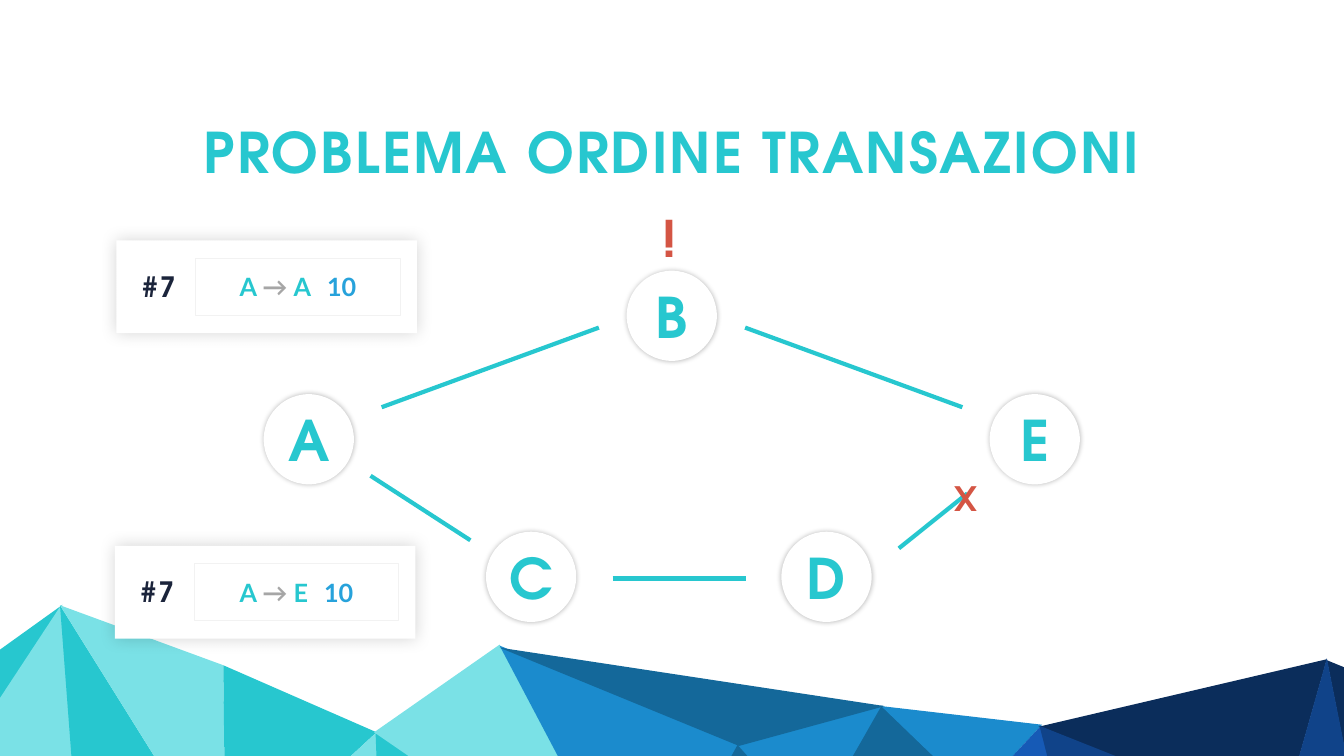
from lxml import etree
from pptx import Presentation
from pptx import util as u
from pptx.dml.color import RGBColor
from pptx.enum import shapes, text
from pptx.oxml.ns import qn

COLORS = {
    "white": "FFFFFF", "black": "000000", "frame": "F2F2F2", "arrow": "A6A6A6",
    "teal": "27C7CF", "aqua": "7AE1E6", "sky": "1B8BCD", "steel": "14689A",
    "cobalt": "165AB6", "royal": "104389", "navy": "0B2D5B",
    "ink": "1B243B", "amount": "27A2DB", "alert": "D45544",
}
HEADING, BODY = "TeX Gyre Adventor", "Lato"
NODE_SIZE = 1.79

FACETS = [
    ("teal", [(1.24, 12), (0, 12.89), (0, 13.88)]),
    ("aqua", [(1.57, 16.64), (1.21, 12.01), (-0.02, 13.88), (-0.02, 16.64)]),
    ("teal", [(4.08, 16.64), (1.19, 12.01), (1.54, 16.64)]),
    ("aqua", [(4.47, 16.64), (4.43, 13.2), (1.19, 12.01), (4.08, 16.64)]),
    ("teal", [(5.18, 16.64), (7.47, 14.53), (4.43, 13.2), (4.47, 16.64)]),
    ("aqua", [(7.55, 16.64), (7.47, 14.53), (5.18, 16.64)]),
    ("teal", [(10.52, 16.64), (7.45, 14.53), (7.53, 16.64)]),
    ("aqua", [(11.94, 16.64), (9.91, 12.79), (7.42, 14.53), (10.49, 16.64)]),
    ("sky", [(13.62, 16.66), (14.66, 14.76), (9.91, 12.81), (11.94, 16.66)]),
    ("sky", [(14.61, 14.79), (16.1, 16.47), (17.51, 14)]),
    ("steel", [(16.08, 16.47), (19.35, 15.8), (17.49, 14)]),
    ("sky", [(17.48, 14.01), (19.34, 15.8), (20.67, 14.38)]),
    ("cobalt", [(21.24, 16.71), (20.65, 14.4), (19.31, 15.83), (20.28, 16.71)]),
    ("navy", [(20.6, 14.42), (25.4, 16.33), (26.32, 13.08)]),
    ("royal", [(24.41, 16.71), (25.42, 16.31), (20.62, 14.4), (21.21, 16.71)]),
    ("navy", [(26.81, 13.3), (26.32, 13.1), (26.81, 15.57)]),
    ("royal", [(26.81, 16.71), (26.81, 15.52), (26.32, 13.06), (25.4, 16.31), (26, 16.71)]),
    ("steel", [(9.91, 12.85), (17.55, 14.01), (14.66, 14.8)]),
    ("steel", [(15.71, 16.68), (16.12, 16.46), (14.63, 14.78), (13.59, 16.68)]),
]
NODES = {"A": (5.23, 7.82), "B": (12.43, 5.37), "C": (9.64, 10.55),
         "D": (15.5, 10.55), "E": (19.63, 7.82)}
LINKS = [
    (7.57, 8.08, 11.88, 6.5),
    (7.35, 9.44, 9.33, 10.72),
    (14.78, 6.5, 19.09, 8.08),
    (12.15, 11.48, 14.79, 11.48),
    (17.83, 10.88, 19.19, 9.79),
]
TRANSACTIONS = [(2.31, 4.77, "A"), (2.28, 10.83, "E")]
MARKS = [("X", 48, (18.84, 9.43, 0.56, 0.91)), ("!", 72, (13.05, 4.06, 0.56, 1.31))]


def rgb(color):
    return RGBColor.from_string(COLORS[color])


def inches(values):
    return [u.Inches(value) for value in values]


class NetworkSlide:
    def __init__(self, prs):
        self.slide = prs.slides.add_slide(prs.slide_layouts[5])
        self.shapes = self.slide.shapes

    def add_words(self, paragraph, words, size, color, font=HEADING, spacing=0):
        run = paragraph.add_run()
        run.text = words
        look = {"name": font, "size": u.Pt(size), "bold": True}
        for name, value in look.items():
            setattr(run.font, name, value)
        run.font.color.rgb = rgb(color)
        if spacing:
            run._r.get_or_add_rPr().set("spc", str(spacing * 100))

    def glow(self, shape, blur, opacity):
        """Put a soft, centred shadow around the shape."""
        effects = shape._element.spPr.find(qn("a:effectLst"))
        shadow = etree.SubElement(effects, qn("a:outerShdw"), blurRad=str(u.Pt(blur)),
                                  dist="0", dir="0", algn="ctr", rotWithShape="0")
        color = etree.SubElement(shadow, qn("a:srgbClr"), val=COLORS["black"])
        etree.SubElement(color, qn("a:alpha"), val=str(opacity * 1000))

    def panel(self, kind, box, fill=None, line=None, parent=None):
        shape = (parent or self).shapes.add_shape(kind, *inches(box))
        shape.shadow.inherit = False
        if fill:
            shape.fill.solid()
            shape.fill.fore_color.rgb = rgb(fill)
        else:
            shape.fill.background()
        if line:
            shape.line.color.rgb = rgb(line)
            shape.line.width = u.Pt(1)
        else:
            shape.line.fill.background()
        return shape

    def label(self, words, box, size, color, align=text.PP_ALIGN.LEFT, parent=None):
        frame = (parent or self).shapes.add_textbox(*inches(box)).text_frame
        frame.word_wrap = True
        frame.paragraphs[0].alignment = align
        self.add_words(frame.paragraphs[0], words, size, color, spacing=3)

    def title(self, words, box):
        heading = self.shapes.title
        for name, value in zip(("left", "top", "width", "height"), inches(box)):
            setattr(heading, name, value)
        frame = heading.text_frame
        layout = {"word_wrap": False, "vertical_anchor": text.MSO_ANCHOR.TOP,
                  "auto_size": text.MSO_AUTO_SIZE.SHAPE_TO_FIT_TEXT}
        for name, value in layout.items():
            setattr(frame, name, value)
        frame.paragraphs[0].alignment = text.PP_ALIGN.CENTER
        self.add_words(frame.paragraphs[0], words, 80, "teal", spacing=3)

    def mountains(self, facets):
        group = self.shapes.add_group_shape()
        for color, points in facets:
            start, *rest = [inches(point) for point in points]
            builder = group.shapes.build_freeform(*start)
            builder.add_line_segments(rest, close=True)
            facet = builder.convert_to_shape()
            facet.shadow.inherit = False
            facet.fill.solid()
            facet.fill.fore_color.rgb = rgb(color)
            facet.line.fill.background()

    def node(self, name, left, top):
        circle = self.panel(shapes.MSO_SHAPE.OVAL, (left, top, NODE_SIZE, NODE_SIZE), "white")
        self.glow(circle, 8, 28)
        self.add_words(circle.text_frame.paragraphs[0], name, 80, "teal")

    def link(self, *ends):
        line = self.shapes.add_connector(shapes.MSO_CONNECTOR.STRAIGHT, *inches(ends))
        line.line.color.rgb = rgb("teal")
        line.line.width = u.Pt(6)
        etree.SubElement(line._element.spPr, qn("a:effectLst"))

    def transaction(self, left, top, receiver):
        group = self.shapes.add_group_shape()
        rectangle = shapes.MSO_SHAPE.RECTANGLE
        card = self.panel(rectangle, (left, top, 5.96, 1.84), "white", parent=group)
        self.glow(card, 24, 16)
        transfer = self.panel(rectangle, (left + 1.57, top + 0.35, 4.06, 1.13),
                              line="frame", parent=group)
        paragraph = transfer.text_frame.paragraphs[0]
        # The widely spaced blank sets the amount apart from the receiver.
        for words, color, spacing in (("A ", "teal", 0), ("→ ", "arrow", 0),
                                      (receiver, "teal", 0), (" ", "teal", 14),
                                      ("10", "amount", 0)):
            self.add_words(paragraph, words, 36, color, BODY, spacing)
        self.label("#7", (left + 0.35, top + 0.53, 0.98, 0.77), 40, "ink",
                   text.PP_ALIGN.CENTER, group)


def main():
    prs = Presentation()
    prs.slide_width, prs.slide_height = inches((26.66, 15))
    network = NetworkSlide(prs)
    network.title("PROBLEMA ORDINE TRANSAZIONI", (3.15, 2.29, 20.37, 1.45))
    network.mountains(FACETS)
    for name, place in NODES.items():
        network.node(name, *place)
    for ends in LINKS:
        network.link(*ends)
    for entry in TRANSACTIONS:
        network.transaction(*entry)
    for sign, size, box in MARKS:
        network.label(sign, box, size, "alert")
    prs.save("out.pptx")


if __name__ == "__main__":
    main()
